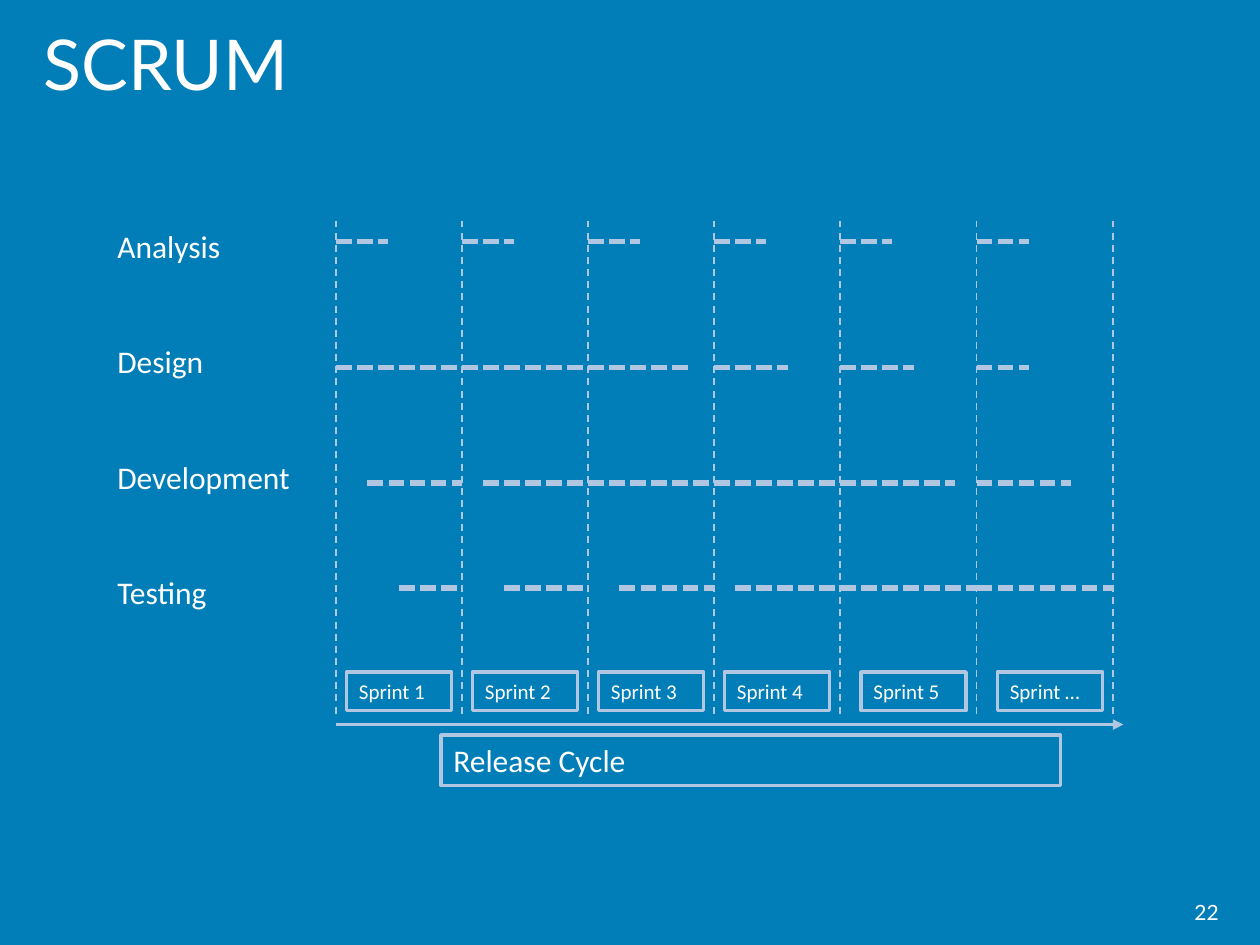
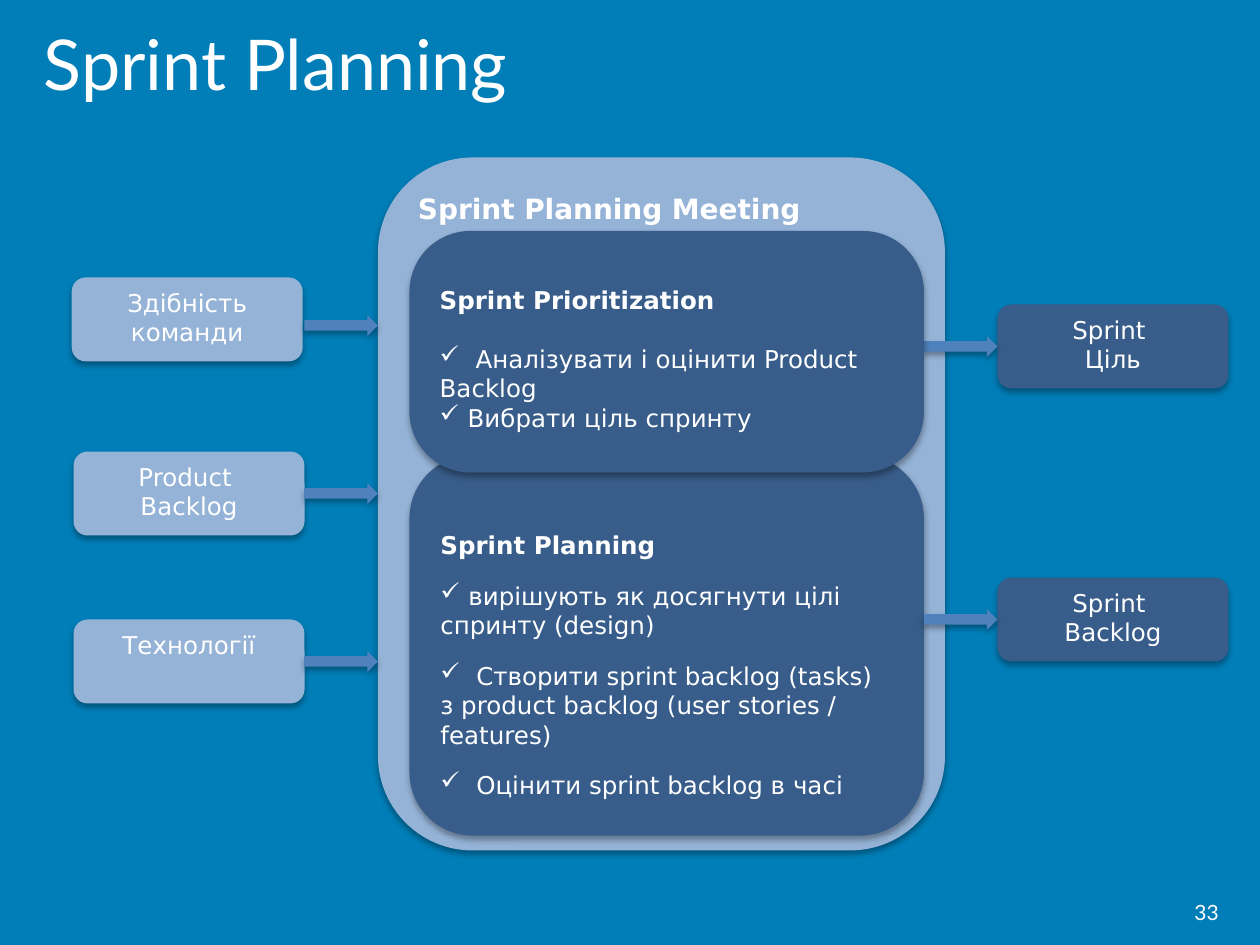
from dataclasses import dataclass
from itertools import pairwise

from lxml.etree import SubElement
from pptx import Presentation
from pptx.dml.color import RGBColor
from pptx.enum.dml import MSO_LINE_DASH_STYLE as DASH
from pptx.enum.shapes import MSO_CONNECTOR, MSO_SHAPE as SHAPE
from pptx.enum.text import MSO_ANCHOR as ANCHOR, PP_ALIGN as ALIGN
from pptx.oxml.ns import qn
from pptx.util import Pt


# Theme
@dataclass(frozen=True)
class Theme:
    back: str = "017EB8"
    text: str = "FFFFFF"
    line: str = "B0C6E1"
    light: str = "95B3D7"
    dark: str = "385D8A"
    arrow: str = "4F81BD"
    title_font: str = "Lato"
    chart_font: str = "Calibri"
    flow_font: str = "DejaVu Sans"
    title: int = 40
    phase: int = 18
    meeting: int = 16
    body: int = 14
    small: int = 12


T = Theme()

# Content: the release chart
SPRINTS = ["Sprint 1", "Sprint 2", "Sprint 3", "Sprint 4", "Sprint 5", "Sprint …"]
SPRINT_EDGES = [192, 264, 336, 408, 480, 558, 636]
# Phase, height of its bars, and (offset from sprint start, length) per sprint
PHASES = [
    ("Analysis", 138, [(0, 30)] * 6),
    ("Design", 210, [(0, 72), (0, 72), (0, 60), (0, 42), (0, 42), (0, 30)]),
    ("Development", 276, [(18, 54), (12, 60), (0, 72), (0, 72), (0, 66), (0, 54)]),
    ("Testing", 336, [(36, 36), (24, 48), (18, 54), (12, 60), (0, 78), (0, 78)]),
]
RELEASE = "Release Cycle"

# Content: the planning flow
MEETING = "Sprint Planning Meeting"
# Bullets come with the distance from the tick to the text
PLANNING = ("Sprint Planning", [
    (16, "вирішують як досягнути цілі спринту (design)"),
    (20.5, "Створити sprint backlog (tasks) з product backlog (user stories / features)"),
    (20.5, "Оцінити sprint backlog в часі"),
])
PRIORITIZATION = ("Sprint Prioritization", [
    (20.5, "Аналізувати і оцінити Product Backlog"),
    (16, "Вибрати ціль спринту"),
])
# Text, left, top of the box, top of its arrow
INPUTS = [
    ("Здібність команди", 41, 158.5, 180),
    ("Product \nBacklog", 42, 258, 276),
    ("Технології", 42, 354, 372),
]
OUTPUTS = [
    ("Sprint \nЦіль", 570, 174, 192),
    ("Sprint \nBacklog", 570, 330, 348),
]


# Shared helpers
def rgb(color):
    return RGBColor.from_string(color)


def write(sp, text, font, size, align=ALIGN.LEFT, anchor=ANCHOR.TOP, bold=False):
    tf = sp.text_frame
    tf.word_wrap = True
    tf.vertical_anchor = anchor
    tf.text = text
    for p in tf.paragraphs:
        p.alignment = align
        for r in p.runs:
            r.font.name, r.font.size, r.font.bold = font, Pt(size), bold
            r.font.color.rgb = rgb(T.text)
    return tf


def add_text(s, box, *args, **style):
    write(s.shapes.add_textbox(*map(Pt, box)), *args, **style)


def add_frame(s, box, text, size):
    sp = s.shapes.add_shape(SHAPE.RECTANGLE, *map(Pt, box))
    sp.shadow.inherit = False
    sp.fill.background()
    sp.line.color.rgb = rgb(T.line)
    sp.line.width = Pt(2)
    write(sp, text, T.chart_font, size)


def add_line(s, x1, y1, x2, y2, width, dash=None, arrow=False):
    ln = s.shapes.add_connector(MSO_CONNECTOR.STRAIGHT, *map(Pt, (x1, y1, x2, y2)))
    ln.line.color.rgb = rgb(T.line)
    ln.line.width = Pt(width)
    if dash:
        ln.line.dash_style = dash
    if arrow:
        SubElement(ln.line._get_or_add_ln(), qn("a:tailEnd"), type="triangle")
    SubElement(ln._element.spPr, qn("a:effectLst"))


def add_block(s, kind, box, color):
    sp = s.shapes.add_shape(kind, *map(Pt, box))
    sp.fill.solid()
    sp.fill.fore_color.rgb = rgb(color)
    sp.line.fill.background()
    # Soft shadow straight below
    sp.shadow.inherit = False
    effects = sp._element.spPr.find(qn("a:effectLst"))
    shadow = SubElement(effects, qn("a:outerShdw"), blurRad=str(Pt(3.5)),
                        dist=str(Pt(2.2)), dir="5400000", rotWithShape="0")
    black = SubElement(shadow, qn("a:srgbClr"), val="000000")
    SubElement(black, qn("a:alpha"), val="32000")
    return sp


def add_stage(s, box, stage, inset, heading_gap, bullet_gap, corner=0.1667):
    heading, bullets = stage
    sp = add_block(s, SHAPE.ROUNDED_RECTANGLE, box, T.dark)
    sp.adjustments[0] = corner
    text = "\n".join([heading] + ["\t" + item for _, item in bullets])
    tf = write(sp, text, T.flow_font, T.body)
    tf.margin_top = Pt(inset)
    head, *items = tf.paragraphs
    head.runs[0].font.bold = True
    head.space_after = Pt(heading_gap)
    for p, (tab, _) in zip(items, bullets):
        p.space_before = p.space_after = Pt(bullet_gap)
        pPr = p._p.get_or_add_pPr()
        pPr.set("marL", "0")
        pPr.set("indent", "0")
        SubElement(pPr, qn("a:buChar"), char="✓")
        tabs = SubElement(pPr, qn("a:tabLst"))
        SubElement(tabs, qn("a:tab"), pos=str(Pt(tab)), algn="l")


def add_slide(prs, title, number):
    s = prs.slides.add_slide(prs.slide_layouts[6])
    s.background.fill.solid()
    s.background.fill.fore_color.rgb = rgb(T.back)
    add_text(s, (536, 507.5, 167.5, 28), number, T.title_font, T.small,
             align=ALIGN.RIGHT, anchor=ANCHOR.MIDDLE)
    add_text(s, (18, 0, 648, 72), title, T.title_font, T.title, anchor=ANCHOR.MIDDLE)
    return s


# Release chart
def build_scrum(prs):
    s = add_slide(prs, "SCRUM", "22")
    add_line(s, SPRINT_EDGES[0], 414, 642, 414, 2, arrow=True)
    add_frame(s, (252, 420, 354, 29), RELEASE, T.phase)
    for x in SPRINT_EDGES:
        add_line(s, x, 126, x, 408, 1, DASH.DASH)
    for name, (_, end) in zip(SPRINTS, pairwise(SPRINT_EDGES)):
        add_frame(s, (end - 66, 384, 60, 22), name, T.small)
    for row, (name, y, bars) in enumerate(PHASES):
        add_text(s, (60, 126 + 66 * row, 114, 29), name, T.chart_font, T.phase)
        for start, (offset, length) in zip(SPRINT_EDGES, bars):
            x = start + offset
            add_line(s, x, y, x + length, y, 3, DASH.SQUARE_DOT)


# Planning flow
def build_planning(prs):
    s = add_slide(prs, "Sprint Planning", "33")
    meeting = add_block(s, SHAPE.ROUNDED_RECTANGLE, (216, 90, 324, 396), T.light)
    write(meeting, MEETING, T.flow_font, T.meeting, bold=True)
    add_stage(s, (234, 260, 294, 217.5), PLANNING, 32.5, 6, 6)
    for boxes, color, arrow_x in ((INPUTS, T.light, 174), (OUTPUTS, T.dark, 528)):
        for text, x, y, arrow_y in boxes:
            sp = add_block(s, SHAPE.ROUNDED_RECTANGLE, (x, y, 132, 48), color)
            write(sp, text, T.flow_font, T.body, align=ALIGN.CENTER)
            add_block(s, SHAPE.RIGHT_ARROW, (arrow_x, arrow_y, 42, 12), T.arrow)
    add_stage(s, (234, 132, 294, 138), PRIORITIZATION, 20.5, 17, 0, corner=0.252)


def main():
    prs = Presentation()
    prs.slide_width, prs.slide_height = Pt(720), Pt(540)
    build_scrum(prs)
    build_planning(prs)
    prs.save("out.pptx")


if __name__ == "__main__":
    main()
